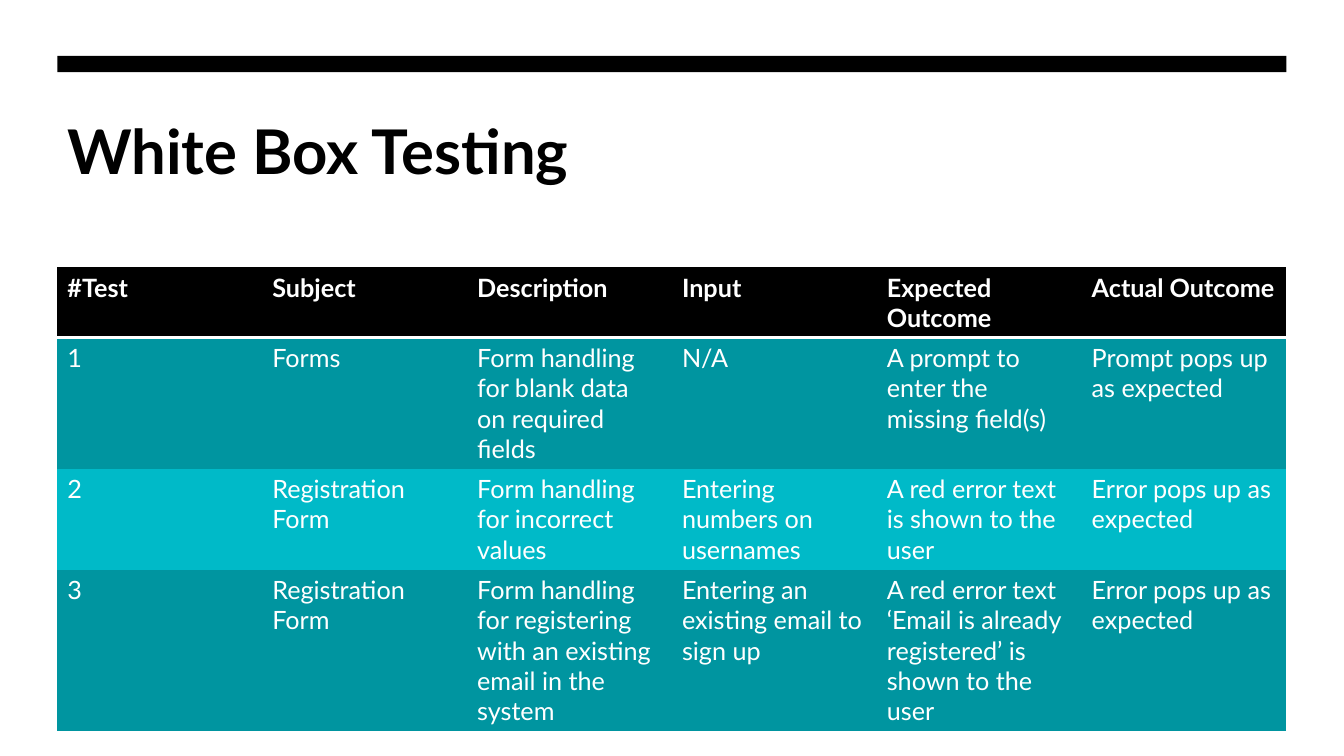
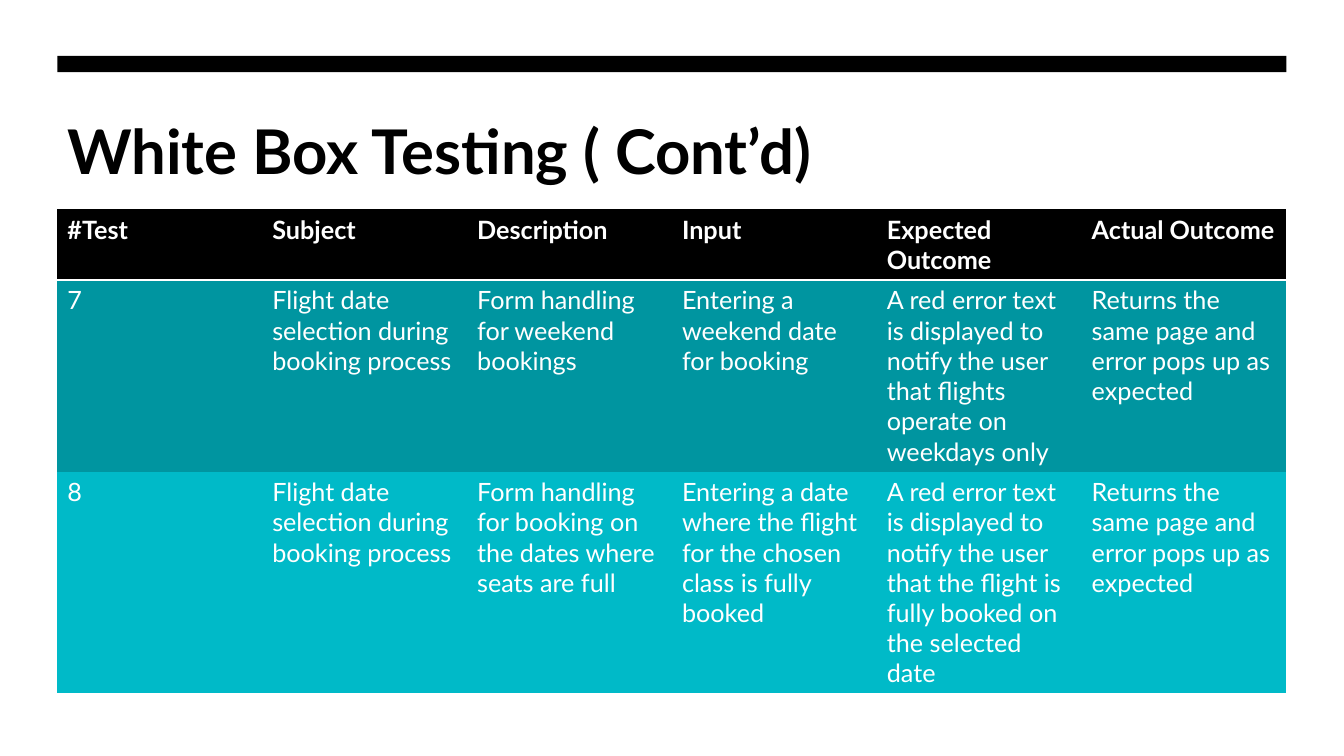
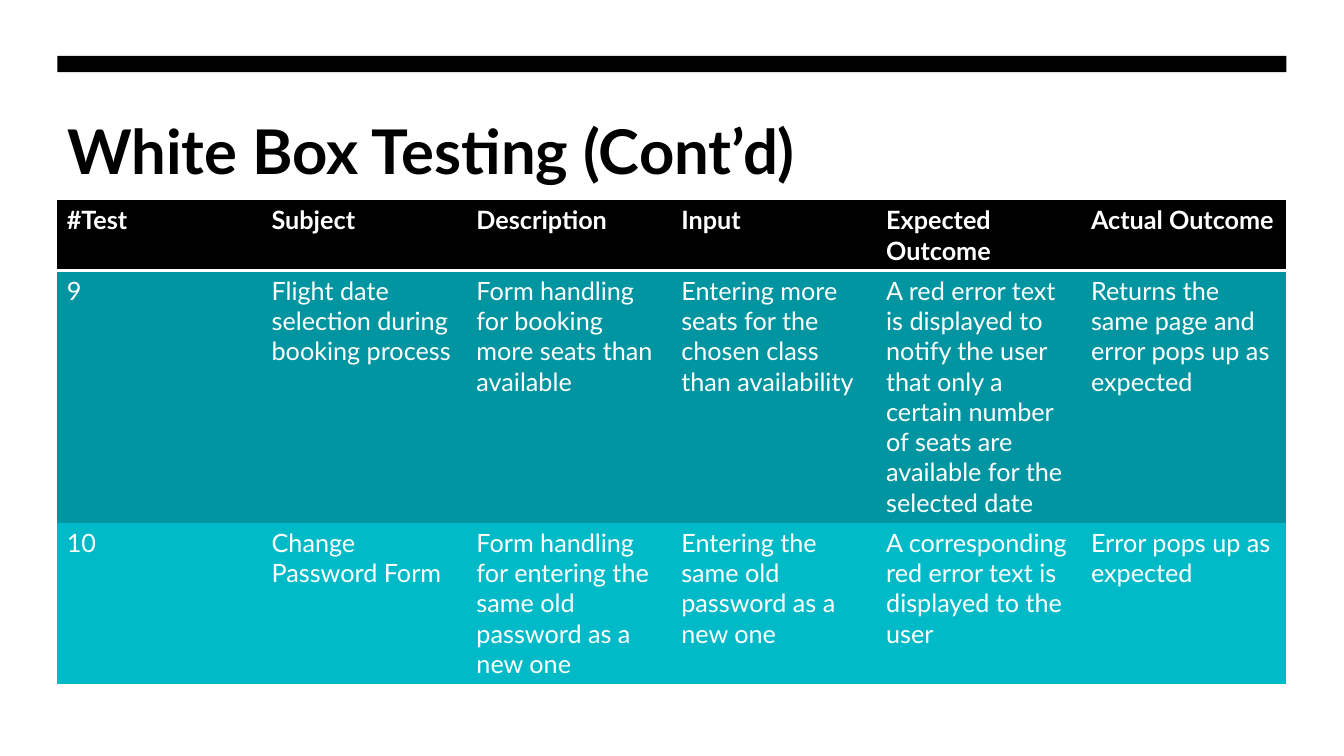
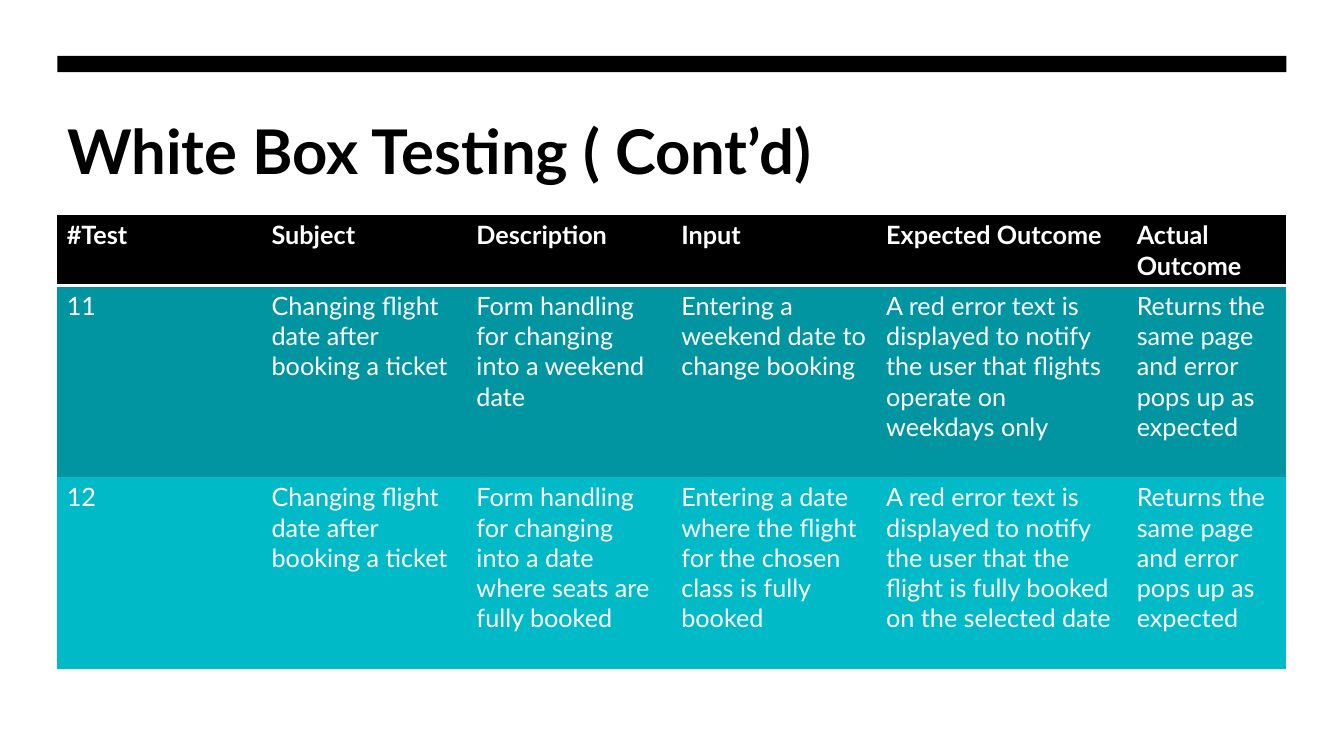
from lxml.etree import SubElement
from pptx import Presentation
from pptx.dml.color import RGBColor
from pptx.enum.shapes import MSO_SHAPE
from pptx.oxml import parse_xml
from pptx.oxml.ns import nsdecls, qn
from pptx.util import Pt

BLACK = RGBColor(0x00, 0x00, 0x00)
WHITE = RGBColor(0xFF, 0xFF, 0xFF)
TEAL = RGBColor(0x00, 0x95, 0xA0)
AQUA = RGBColor(0x00, 0xBA, 0xC8)

FONT = "Lato"
LEFT, WIDTH = 41, 878
EVEN_COLUMNS = [146.33] * 6
WIDE_EXPECTED = [146.33] * 4 + [179, 113.68]
LINE_HEIGHT, CELL_PADDING = 21.6, 7.2
NO_GRID_STYLE = "{2D5ABB26-0587-4C30-8999-92F81FD0307C}"

HEADINGS = ("#Test", "Subject", "Description", "Input",
            "Expected Outcome", "Actual Outcome")
ERROR_SHOWN = "Error pops up as expected"
SAME_PAGE = "Returns the same page and error pops up as expected"
DATE_SELECTION = "Flight date selection during booking process"
DATE_CHANGE = "Changing flight date after booking a ticket"
FULL_CLASS = "Entering a date where the flight for the chosen class is fully booked"
NOTIFY = "A red error text is displayed to notify the user that "
WEEKDAYS_ONLY = NOTIFY + "flights operate on weekdays only"
FULLY_BOOKED = NOTIFY + "the flight is fully booked on the selected date"

# Each slide: title, table left, table top, column widths,
# then the test cases, each led by its row height in text lines.
SLIDES = [
    ("White Box Testing", LEFT, 190.8, EVEN_COLUMNS, [
        (4, "1", "Forms", "Form handling for blank data on required fields",
         "N/A", "A prompt to enter the missing field(s)",
         "Prompt pops up as expected"),
        (3, "2", "Registration Form", "Form handling for incorrect values",
         "Entering numbers on usernames",
         "A red error text is shown to the user", ERROR_SHOWN),
        (5, "3", "Registration Form",
         "Form handling for registering with an existing email in the system",
         "Entering an existing email to sign up",
         "A red error text ‘Email is already registered’ is shown to the user",
         ERROR_SHOWN),
    ]),
    ("White Box Testing ( Cont’d)", LEFT, 149.6, EVEN_COLUMNS, [
        (6, "7", DATE_SELECTION, "Form handling for weekend bookings",
         "Entering a weekend date for booking", WEEKDAYS_ONLY, SAME_PAGE),
        (7, "8", DATE_SELECTION,
         "Form handling for booking on the dates where seats are full",
         FULL_CLASS, FULLY_BOOKED, SAME_PAGE),
    ]),
    ("White Box Testing (Cont’d)", 40.5, 142.8, EVEN_COLUMNS, [
        (8, "9", DATE_SELECTION,
         "Form handling for booking more seats than available",
         "Entering more seats for the chosen class than availability",
         NOTIFY + "only a certain number of seats are available "
         "for the selected date", SAME_PAGE),
        (5, "10", "Change Password Form",
         "Form handling for entering the same old password as a new one",
         "Entering the same old password as a new one",
         "A corresponding red error text is displayed to the user",
         ERROR_SHOWN),
    ]),
    ("White Box Testing ( Cont’d)", 40.5, 153.5, WIDE_EXPECTED, [
        (6, "11", DATE_CHANGE, "Form handling for changing into a weekend date",
         "Entering a weekend date to change booking", WEEKDAYS_ONLY, SAME_PAGE),
        (6, "12", DATE_CHANGE,
         "Form handling for changing into a date where seats are fully booked",
         FULL_CLASS, FULLY_BOOKED, SAME_PAGE),
    ]),
]


class Deck:
    def __init__(self):
        self.presentation = Presentation()
        self.presentation.slide_width = Pt(960)
        self.presentation.slide_height = Pt(540)
        self.slide = None

    def new_slide(self, title):
        blank = self.presentation.slide_layouts[6]
        self.slide = self.presentation.slides.add_slide(blank)
        self.top_band()
        self.title(title)

    def top_band(self):
        band = self.slide.shapes.add_shape(
            MSO_SHAPE.RECTANGLE, Pt(LEFT), Pt(40), Pt(WIDTH), Pt(11.5))
        band.shadow.inherit = False
        band.fill.solid()
        band.fill.fore_color.rgb = BLACK
        band.line.fill.background()

    def title(self, text):
        box = self.slide.shapes.add_textbox(
            Pt(LEFT), Pt(77), Pt(WIDTH), Pt(115))
        box.text_frame.word_wrap = True
        self.set_text(box.text_frame, text, 44, BLACK, True)

    def set_text(self, frame, text, size, color, bold):
        paragraph = frame.paragraphs[0]
        paragraph.text = text
        font = paragraph.font
        font.name, font.size, font.bold = FONT, Pt(size), bold
        font.color.rgb = color

    def test_table(self, left, top, widths, cases):
        rows = [(2, *HEADINGS), *cases]
        heights = [lines * LINE_HEIGHT + CELL_PADDING for lines, *_ in rows]
        table = self.slide.shapes.add_table(
            len(rows), len(widths), Pt(left), Pt(top),
            Pt(sum(widths)), Pt(sum(heights))).table
        table.horz_banding = False
        table._tbl.tblPr.find(qn("a:tableStyleId")).text = NO_GRID_STYLE
        for column, width in zip(table.columns, widths):
            column.width = Pt(width)
        for index, (_, *texts) in enumerate(rows):
            table.rows[index].height = Pt(heights[index])
            is_header = index == 0
            fill = BLACK if is_header else (AQUA, TEAL)[index % 2]
            for cell, text in zip(table.rows[index].cells, texts):
                cell.fill.solid()
                cell.fill.fore_color.rgb = fill
                self.set_text(cell.text_frame, text, 18, WHITE, is_header)
                if is_header:
                    self.underline(cell)

    def underline(self, cell):
        """Draw a white rule along the bottom edge of a cell."""
        rule = parse_xml(f'<a:lnB {nsdecls("a")} w="{Pt(2)}"/>')
        solid = SubElement(rule, qn("a:solidFill"))
        SubElement(solid, qn("a:srgbClr"), val=str(WHITE))
        cell._tc.get_or_add_tcPr().insert(0, rule)


def main():
    deck = Deck()
    for title, left, top, widths, cases in SLIDES:
        deck.new_slide(title)
        deck.test_table(left, top, widths, cases)
    deck.presentation.save("out.pptx")


if __name__ == "__main__":
    main()
